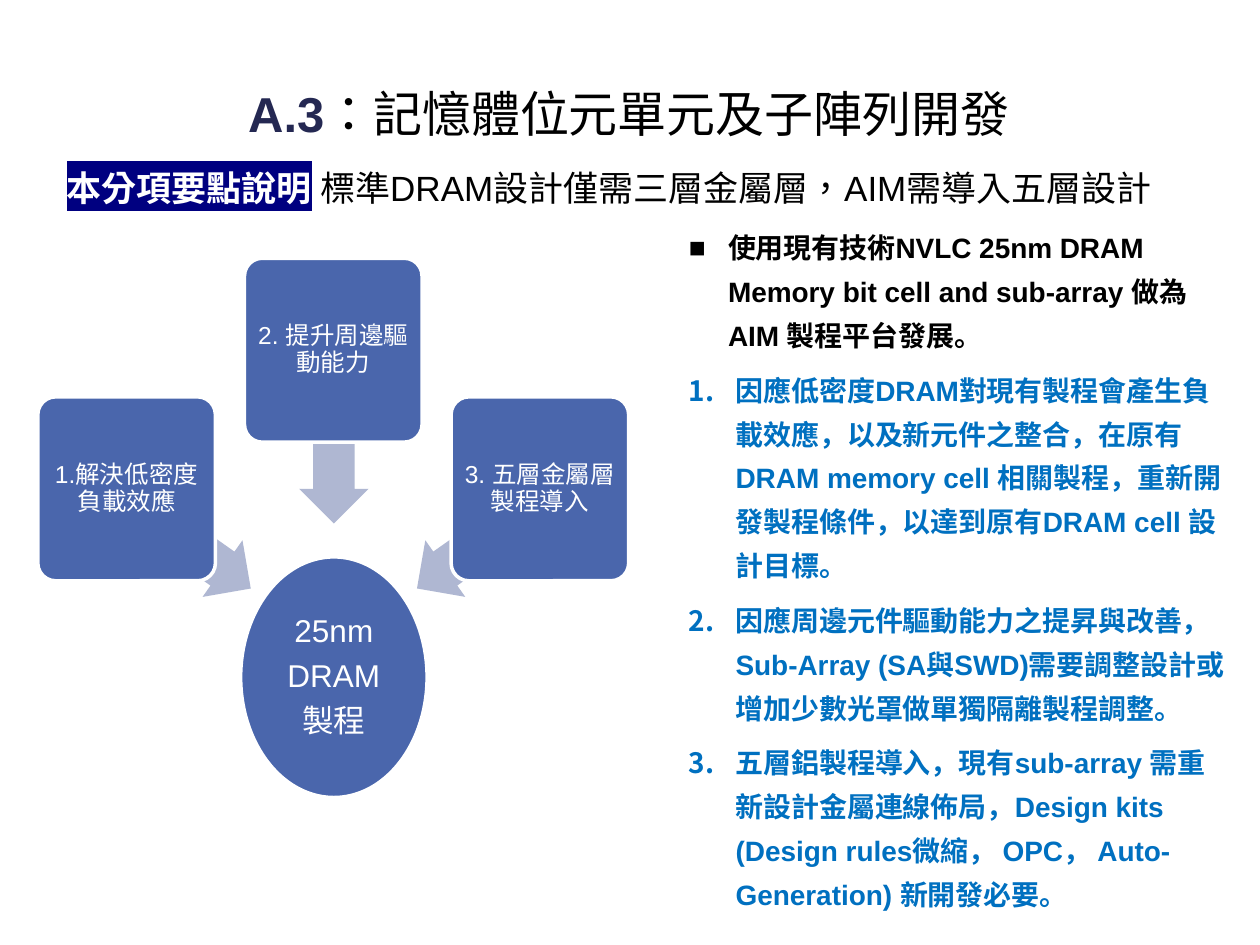
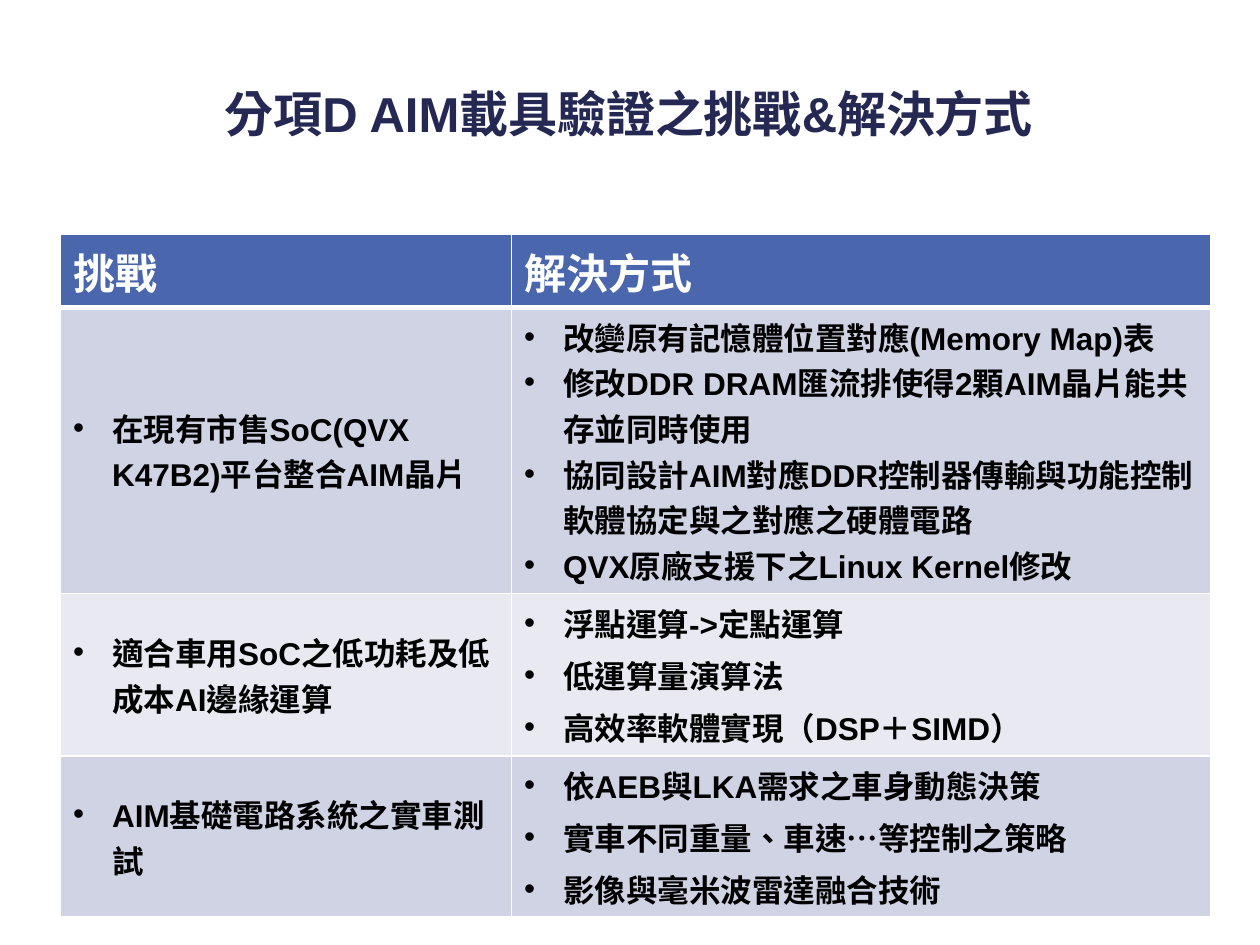
"""Build two slides: a memory process diagram and a table of challenges."""
from lxml import etree
from pptx import Presentation
from pptx.dml.color import RGBColor
from pptx.enum.lang import MSO_LANGUAGE_ID as Lang
from pptx.enum.shapes import MSO_SHAPE as Shape
from pptx.enum.text import MSO_ANCHOR as Anchor, PP_ALIGN as Align
from pptx.oxml.ns import qn
from pptx.util import Inches, Pt

NAVY = RGBColor(0x24, 0x28, 0x52)
BLACK = RGBColor(0, 0, 0)
WHITE = RGBColor(0xFF, 0xFF, 0xFF)
AZURE = RGBColor(0x00, 0x70, 0xC0)
BLUE = RGBColor(0x4A, 0x66, 0xAC)
PALE = RGBColor(0xAF, 0xB7, 0xD2)
MARK = RGBColor(0, 0, 0x80)
BANDS = [RGBColor(0xD0, 0xD3, 0xE3), RGBColor(0xE9, 0xEA, 0xF1)]
FONT = "Arial"

HEAD = [("A.3", NAVY, True), ("：記憶體位元單元及子陣列開發", BLACK, False)]
LEAD = [("本分項要點說明", WHITE, True), (" ", BLACK, True),
        ("標準DRAM設計僅需三層金屬層，AIM需導入五層設計", BLACK, False)]
GOAL = ["25nm", "DRAM", "製程"]
STEPS = [
    ("1.解決低密度負載效應", (0.3, 3.15), (0.9, 4.05), 215.2),
    ("2. 提升周邊驅動能力", (1.94, 2.05), (2.05, 3.28), 270),
    ("3. 五層金屬層製程導入", (3.58, 3.15), (3.2, 4.05), 324.8),
]
CARD = (1.41, 1.46)
ARROW = (1.2, 0.55)
BASE = "使用現有技術NVLC 25nm DRAM Memory bit cell and sub-array 做為AIM 製程平台發展。"
NOTES = [
    "因應低密度DRAM對現有製程會產生負載效應，以及新元件之整合，在原有DRAM memory cell 相關製程，"
    "重新開發製程條件，以達到原有DRAM cell 設計目標。",
    "因應周邊元件驅動能力之提昇與改善，Sub-Array (SA與SWD)需要調整設計或增加少數光罩做單獨隔離製程調整。",
    "五層鋁製程導入，現有sub-array 需重新設計金屬連線佈局，Design kits "
    "(Design rules微縮， OPC， Auto-Generation) 新開發必要。",
]

TITLE = [("分項D AIM載具驗證之挑戰&解決方式", NAVY, True)]
COLS = [("挑戰", 3.58), ("解決方式", 5.55)]
TALL = [0.58, 2.27, 1.29, 1.28]
ROWS = [
    ("在現有市售SoC(QVX K47B2)平台整合AIM晶片", 0,
     ["改變原有記憶體位置對應(Memory Map)表",
      "修改DDR DRAM匯流排使得2顆AIM晶片能共存並同時使用",
      "協同設計AIM對應DDR控制器傳輸與功能控制軟體協定與之對應之硬體電路",
      "QVX原廠支援下之Linux Kernel修改"]),
    ("適合車用SoC之低功耗及低成本AI邊緣運算", 3.6,
     ["浮點運算->定點運算", "低運算量演算法", "高效率軟體實現（DSP＋SIMD）"]),
    ("AIM基礎電路系統之實車測試", 3.6,
     ["依AEB與LKA需求之車身動態決策", "實車不同重量、車速…等控制之策略",
      "影像與毫米波雷達融合技術"]),
]


def style(font, size, color, bold=False):
    """Set the face of a font."""
    font.name, font.size, font.bold = FONT, Pt(size), bold
    font.color.rgb = color


def bullet(para, sign, indent):
    """Give a paragraph a hanging sign, or a number when sign is None."""
    props = para._p.get_or_add_pPr()
    props.set("marL", str(Inches(indent)))
    props.set("indent", str(-Inches(indent)))
    face = etree.SubElement(props, qn("a:buFont"))
    face.set("typeface", FONT)
    if sign:
        etree.SubElement(props, qn("a:buChar")).set("char", sign)
    else:
        etree.SubElement(props, qn("a:buAutoNum")).set("type", "arabicPeriod")


def fill_text(frame, lines, gap=0):
    """Yield one paragraph per line, with a gap between them."""
    for i, line in enumerate(lines):
        para = frame.add_paragraph() if i else frame.paragraphs[0]
        para.text = line
        if i and gap:
            para.space_before = Pt(gap)
        yield para


def add_box(slide, place):
    """Add a wrapping text box and return its frame."""
    frame = slide.shapes.add_textbox(*map(Inches, place)).text_frame
    frame.word_wrap = True
    return frame


def add_line(slide, place, runs, size, align):
    """Add one line of runs; white runs get a dark mark."""
    para = add_box(slide, place).paragraphs[0]
    para.alignment = align
    for text, color, bold in runs:
        run = para.add_run()
        run.text = text
        style(run.font, size, color, bold)
        run.font.language_id = Lang.TRADITIONAL_CHINESE
        if color == WHITE:
            mark = etree.Element(qn("a:highlight"))
            etree.SubElement(mark, qn("a:srgbClr")).set("val", str(MARK))
            run._r.get_or_add_rPr().find(qn("a:solidFill")).addnext(mark)


def add_title(slide, runs):
    """Add the shared slide title."""
    add_line(slide, (0.08, 0.61, 9.82, 0.62), runs, 28, Align.CENTER)


def add_form(slide, kind, place, color, edge=False):
    """Add a flat shape, with a white edge on request."""
    form = slide.shapes.add_shape(kind, *map(Inches, place))
    form.shadow.inherit = False
    form.fill.solid()
    form.fill.fore_color.rgb = color
    if edge:
        form.line.color.rgb, form.line.width = WHITE, Pt(2)
    else:
        form.line.fill.background()
    return form


def label(form, lines, size, inset, gap=0):
    """Write centred white lines in a shape."""
    frame = form.text_frame
    frame.word_wrap, frame.vertical_anchor = True, Anchor.MIDDLE
    frame.margin_left = frame.margin_right = Inches(inset)
    frame.margin_top = frame.margin_bottom = Inches(inset)
    for para in fill_text(frame, lines, gap):
        para.alignment, para.line_spacing = Align.CENTER, 0.9
        style(para.font, size, WHITE)


def border(cell, base):
    """Draw white cell borders; base is the width of the lower one."""
    props = cell._tc.get_or_add_tcPr()
    for i, (side, width) in enumerate(zip("LRTB", (1, 1, 1, base))):
        line = etree.Element(qn(f"a:ln{side}"), w=str(Pt(width)))
        paint = etree.SubElement(line, qn("a:solidFill"))
        etree.SubElement(paint, qn("a:srgbClr")).set("val", str(WHITE))
        props.insert(i, line)


def draw_cell(cell, lines, color, gap=0, head=False):
    """Fill one table cell as heading or bullet list."""
    cell.fill.solid()
    cell.fill.fore_color.rgb = color
    border(cell, 3 if head else 1)
    if not head:
        cell.vertical_anchor = Anchor.MIDDLE
    for para in fill_text(cell.text_frame, lines, gap):
        if not head:
            bullet(para, "•", 0.31)
        style(para.font, 24 if head else 18, WHITE if head else BLACK, True)
        para.runs[0].font.language_id = Lang.TRADITIONAL_CHINESE


def draw_process(slide):
    """Draw the diagram and the notes beside it."""
    add_title(slide, HEAD)
    add_line(slide, (0.43, 1.27, 9.11, 0.44), LEAD, 20, Align.LEFT)
    goal = add_form(slide, Shape.OVAL, (1.91, 4.42, 1.48, 1.91), BLUE, True)
    label(goal, GOAL, 18, 0.01, 6.3)
    for text, spot, start, turn in STEPS:
        arrow = add_form(slide, Shape.LEFT_ARROW, start + ARROW, PALE)
        arrow.rotation = turn
        arrow.adjustments[0] = 0.6
        card = add_form(slide, Shape.ROUNDED_RECTANGLE, spot + CARD, BLUE, True)
        card.adjustments[0] = 0.1
        label(card, [text], 14, 0.03)
    frame = add_box(slide, (5.37, 1.7, 4.47, 4.96))
    for i, para in enumerate(fill_text(frame, [BASE, *NOTES], 6)):
        para.line_spacing = 1.31
        bullet(para, None if i else "■", 0.37 if i else 0.31)
        style(para.font, 16, AZURE if i else BLACK, True)


def draw_table(slide):
    """Draw the table of challenges and solutions."""
    add_title(slide, TITLE)
    size = (0.48, 1.86, sum(w for _, w in COLS), sum(TALL))
    table = slide.shapes.add_table(len(TALL), len(COLS), *map(Inches, size)).table
    for row, tall in zip(table.rows, TALL):
        row.height = Inches(tall)
    for c, (name, width) in enumerate(COLS):
        table.columns[c].width = Inches(width)
        draw_cell(table.cell(0, c), [name], BLUE, head=True)
    for r, (issue, gap, fixes) in enumerate(ROWS):
        for c, lines in enumerate(([issue], fixes)):
            draw_cell(table.cell(r + 1, c), lines, BANDS[r % 2], gap)


def main():
    """Build and save the deck."""
    deck = Presentation()
    deck.slide_width, deck.slide_height = Inches(10), Inches(7.5)
    for draw in (draw_process, draw_table):
        draw(deck.slides.add_slide(deck.slide_layouts[6]))
    deck.save("out.pptx")


if __name__ == "__main__":
    main()
